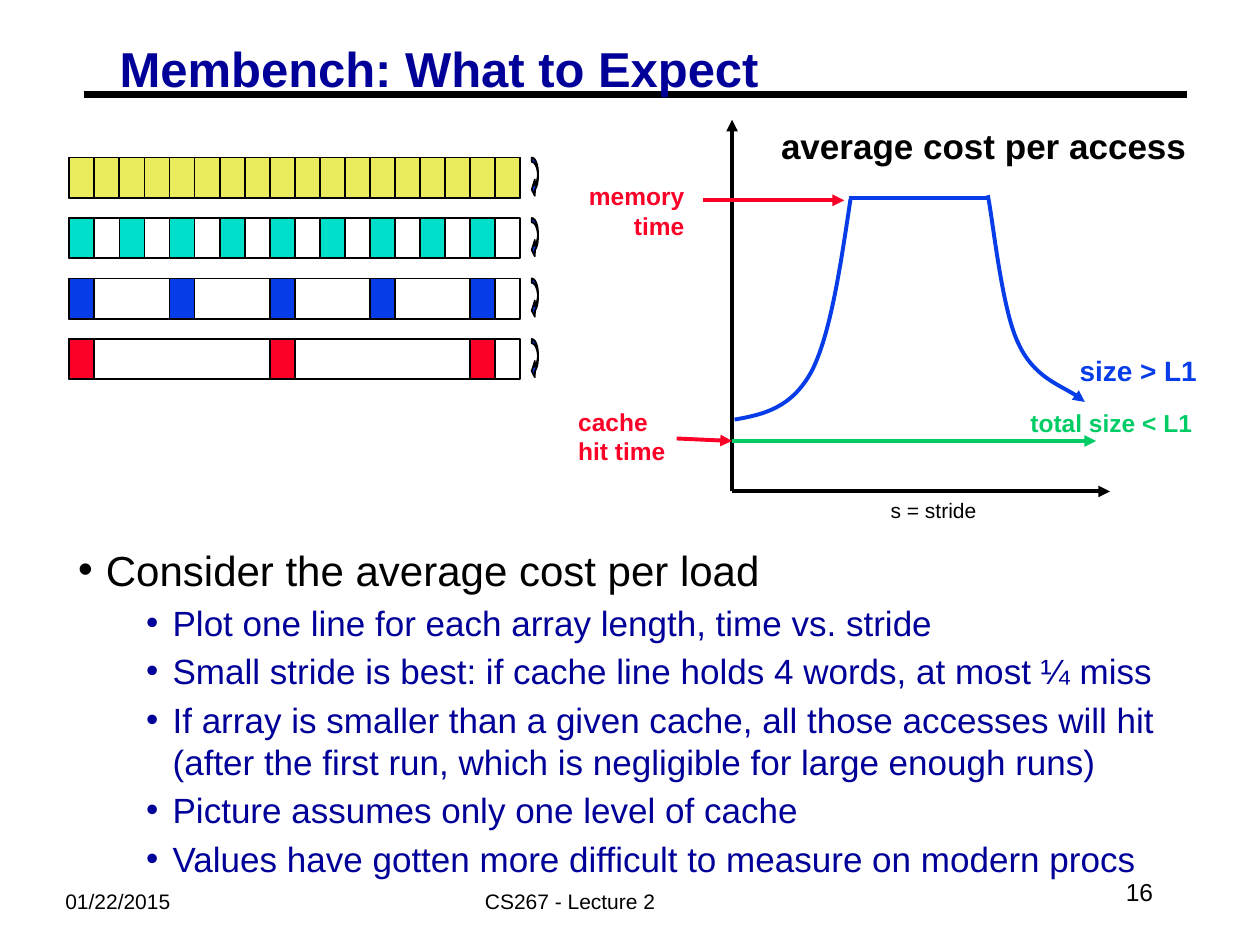
from lxml.etree import SubElement
from pptx import Presentation
from pptx.dml.color import RGBColor
from pptx.enum.shapes import MSO_CONNECTOR, MSO_SHAPE
from pptx.enum.text import MSO_ANCHOR, PP_ALIGN
from pptx.oxml.ns import qn
from pptx.util import Inches, Pt

BLACK = RGBColor(0x00, 0x00, 0x00)
NAVY = RGBColor(0x00, 0x00, 0x99)
YELLOW = RGBColor(0xEA, 0xEC, 0x5E)
TEAL = RGBColor(0x00, 0xDF, 0xCA)
BLUE = RGBColor(0x06, 0x3D, 0xE8)
RED = RGBColor(0xFC, 0x01, 0x28)
GREEN = RGBColor(0x00, 0xCC, 0x66)

ARRAY_LEFT, ARRAY_TOP, ARRAY_WIDTH, ARRAY_HEIGHT = 0.55, 1.25, 3.58, 0.32
WORD_COUNT = 18
ROW_PITCH = 0.48
STRIDES = [(1, YELLOW), (2, TEAL), (4, BLUE), (8, RED)]

ORIGIN_X, ORIGIN_Y = 5.81, 3.9
HIT_Y = 3.5
BULLETS = [
    "Plot one line for each array length, time vs. stride",
    "Small stride is best: if cache line holds 4 words, at most ¼ miss",
    "If array is smaller than a given cache, all those accesses will hit "
    "(after the first run, which is negligible for large enough runs)",
    "Picture assumes only one level of cache",
    "Values have gotten more difficult to measure on modern procs",
]


class SlideBuilder:
    """Draws styled elements on one slide."""

    font_name = "Arial"
    line_width = 2.25

    def __init__(self, slide):
        self.slide = slide
        self.shapes = slide.shapes

    def style(self, paragraph, size, color, bold=False):
        paragraph.font.name = self.font_name
        paragraph.font.size = Pt(size)
        paragraph.font.bold = bold
        paragraph.font.color.rgb = color

    def set_margins(self, frame, horizontal, vertical):
        frame.margin_left = frame.margin_right = Inches(horizontal)
        frame.margin_top = frame.margin_bottom = Inches(vertical)

    def title(self, text, left, top, width, height):
        shape = self.shapes.title
        shape.left, shape.top = Inches(left), Inches(top)
        shape.width, shape.height = Inches(width), Inches(height)
        frame = shape.text_frame
        frame.text = text
        frame.word_wrap = True
        frame.vertical_anchor = MSO_ANCHOR.TOP
        self.set_margins(frame, 0.07, 0.03)
        paragraph = frame.paragraphs[0]
        paragraph.alignment = PP_ALIGN.LEFT
        paragraph.line_spacing = 0.87
        self.style(paragraph, 28, NAVY, True)
        self.shapes._spTree.append(shape._element)

    def text(self, lines, left, top, width, height, size, color=BLACK, bold=False,
             align=PP_ALIGN.LEFT, wrap=False, space_before=0, anchor=MSO_ANCHOR.TOP):
        box = self.shapes.add_textbox(Inches(left), Inches(top), Inches(width), Inches(height))
        frame = box.text_frame
        frame.text = lines
        frame.word_wrap = wrap
        frame.vertical_anchor = anchor
        self.set_margins(frame, 0.1, 0.05)
        for paragraph in frame.paragraphs:
            paragraph.alignment = align
            paragraph.space_before = Pt(space_before)
            self.style(paragraph, size, color, bold)

    def bullets(self, heading, items, left, top, width, height):
        box = self.shapes.add_textbox(Inches(left), Inches(top), Inches(width), Inches(height))
        frame = box.text_frame
        frame.word_wrap = True
        self.set_margins(frame, 0.07, 0.03)
        frame.text = "\n".join([heading, *items])
        for index, paragraph in enumerate(frame.paragraphs):
            if index == 0:
                size, color, margin, indent, space = 24, BLACK, 0.22, -0.22, 4.5
            else:
                size, color, margin, indent, space = 20, NAVY, 0.75, -0.21, 3.7
                paragraph.level = 1
            paragraph.space_before = Pt(space)
            self.style(paragraph, size, color)
            properties = paragraph._p.get_or_add_pPr()
            properties.set("marL", str(Inches(margin)))
            properties.set("indent", str(Inches(indent)))
            for tag, name, value in (("a:buFont", "typeface", self.font_name),
                                     ("a:buChar", "char", "•")):
                bullet = SubElement(properties, qn(tag))
                bullet.set(name, value)
                properties.remove(bullet)
                properties.insert_element_before(bullet, "a:tabLst", "a:defRPr", "a:extLst")

    def set_line(self, shape, color, width, arrow=False):
        shape.line.color.rgb = color
        shape.line.width = Pt(width)
        if arrow:
            SubElement(shape.line._get_or_add_ln(), qn("a:tailEnd")).set("type", "triangle")

    def line(self, start, end, color, width=line_width, arrow=True):
        connector = self.shapes.add_connector(
            MSO_CONNECTOR.STRAIGHT, *(Inches(value) for value in (*start, *end)))
        self.set_line(connector, color, width, arrow)
        SubElement(connector._element.spPr, qn("a:effectLst"))

    def shape(self, kind, left, top, width, height, fill=None):
        shape = self.shapes.add_shape(
            kind, Inches(left), Inches(top), Inches(width), Inches(height))
        shape.shadow.inherit = False
        if fill is None:
            shape.fill.background()
        else:
            shape.fill.solid()
            shape.fill.fore_color.rgb = fill
        self.set_line(shape, BLACK, 1)
        return shape

    def curve(self, start, controls, color, arrow=False):
        builder = self.shapes.build_freeform(*(Inches(value) for value in start))
        builder.add_line_segments([(Inches(x), Inches(y)) for x, y in controls], close=False)
        shape = builder.convert_to_shape()
        shape.shadow.inherit = False
        shape.fill.background()
        self.set_line(shape, color, self.line_width, arrow)
        segments = list(shape._element.iter(qn("a:lnTo")))
        for index in range(0, len(segments), 3):
            outline = segments[index].getparent()
            bezier = SubElement(outline, qn("a:cubicBezTo"))
            for segment in segments[index:index + 3]:
                bezier.append(segment[0])
                outline.remove(segment)


def draw_arrays(builder):
    """Draw one array row per stride, marking the words accessed."""
    word_width = ARRAY_WIDTH / WORD_COUNT
    for row, (stride, color) in enumerate(STRIDES):
        top = ARRAY_TOP + row * ROW_PITCH
        builder.shape(MSO_SHAPE.RECTANGLE, ARRAY_LEFT, top, ARRAY_WIDTH, ARRAY_HEIGHT)
        for word in range(0, WORD_COUNT, stride):
            builder.shape(MSO_SHAPE.RECTANGLE, ARRAY_LEFT + word * word_width, top,
                          word_width, ARRAY_HEIGHT, color)
        loop = builder.shape(MSO_SHAPE.CURVED_LEFT_ARROW, 4.22, top, 0.05, ARRAY_HEIGHT, BLUE)
        for index, value in enumerate((0.7, 2.6, 0.5)):
            loop.adjustments[index] = value


def draw_plot(builder):
    """Draw the cost against stride plot."""
    origin = (ORIGIN_X, ORIGIN_Y)
    builder.line(origin, (ORIGIN_X, 0.95), BLACK)
    builder.line(origin, (8.81, ORIGIN_Y), BLACK)
    builder.text("s = stride", 6.97, 3.9, 0.88, 0.3, 12)
    builder.text("average cost per access", 6.1, 0.94, 3.42, 0.44, 20, bold=True)
    builder.line((ORIGIN_X, HIT_Y), (8.7, HIT_Y), GREEN)
    builder.text("total size < L1", 8.08, 3.19, 1.6, 0.34, 14, GREEN, True, wrap=True)
    builder.text("cache hit time", 4.49, 3.18, 0.99, 0.57, 14, RED, True, wrap=True)
    builder.line((5.37, 3.48), (ORIGIN_X, HIT_Y), RED)
    builder.text("memory\ntime", 4.55, 1.39, 0.98, 0.57, 14, RED, True,
                 align=PP_ALIGN.RIGHT, wrap=True)
    builder.line((5.58, 1.59), (6.7, 1.59), RED)
    builder.line((6.74, 1.57), (7.85, 1.57), BLUE, arrow=False)
    builder.curve((5.83, 3.33), [(6.06, 3.29), (6.28, 3.24), (6.44, 2.95),
                                 (6.59, 2.66), (6.67, 2.12), (6.75, 1.58)], BLUE)
    builder.curve((7.84, 1.55), [(7.88, 1.74), (7.95, 2.45), (8.08, 2.72),
                                 (8.2, 2.99), (8.5, 3.09), (8.61, 3.19)], BLUE, arrow=True)
    builder.text("size > L1", 8.47, 2.76, 1.13, 0.37, 16, BLUE, True)


def main():
    """Build and save the slide."""
    presentation = Presentation()
    presentation.slide_width, presentation.slide_height = Inches(10), Inches(7.5)
    builder = SlideBuilder(presentation.slides.add_slide(presentation.slide_layouts[5]))
    builder.line((0.67, 0.75), (9.42, 0.75), BLACK, 3.75, arrow=False)
    builder.text("01/22/2015", 0.42, 7, 1.92, 0.3, 12, wrap=True, space_before=7.5)
    builder.text("CS267 - Lecture 2", 3.75, 7, 1.92, 0.3, 12, wrap=True, space_before=7.5)
    builder.text("16", 7.17, 6.83, 2.08, 0.5, 14, align=PP_ALIGN.RIGHT, wrap=True,
                 anchor=MSO_ANCHOR.MIDDLE)
    builder.title("Membench: What to Expect", 0.88, 0.34, 5.27, 0.48)
    draw_arrays(builder)
    builder.bullets("Consider the average cost per load", BULLETS, 0.55, 4.29, 8.75, 2.73)
    draw_plot(builder)
    presentation.save("out.pptx")


if __name__ == "__main__":
    main()
